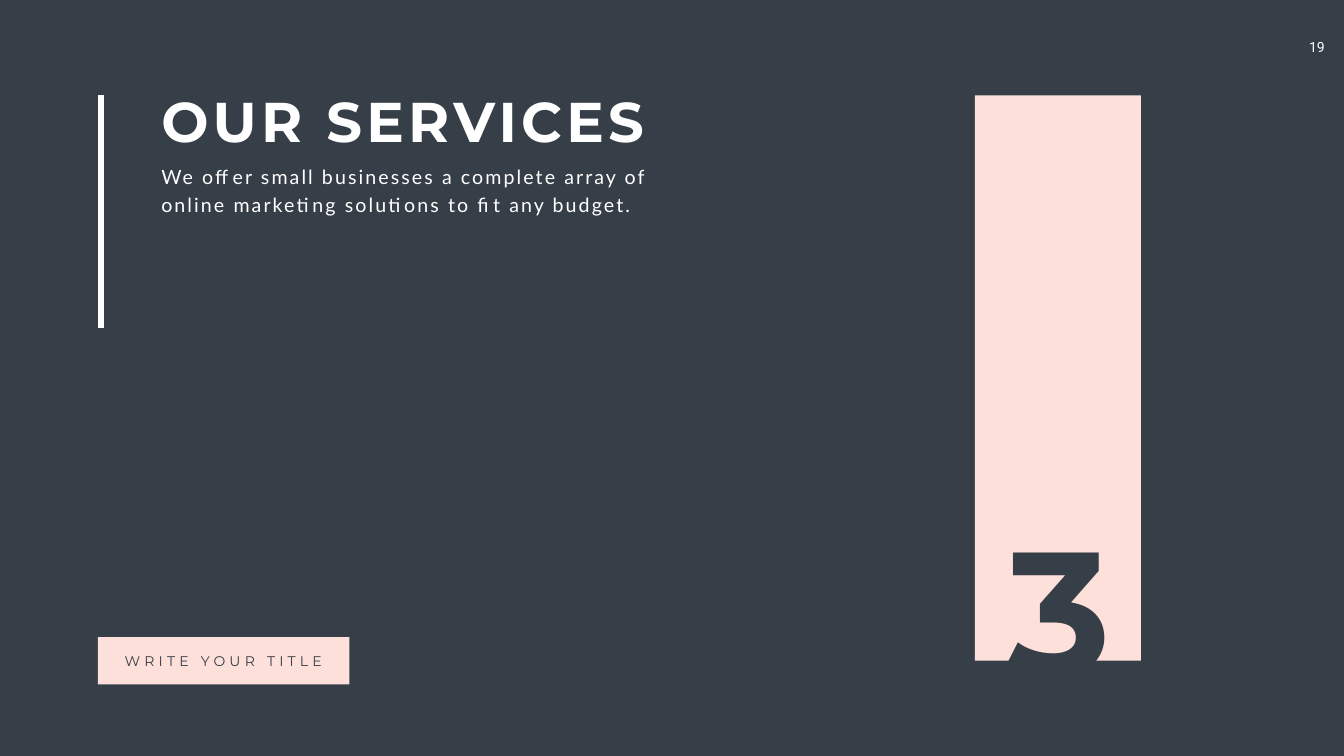
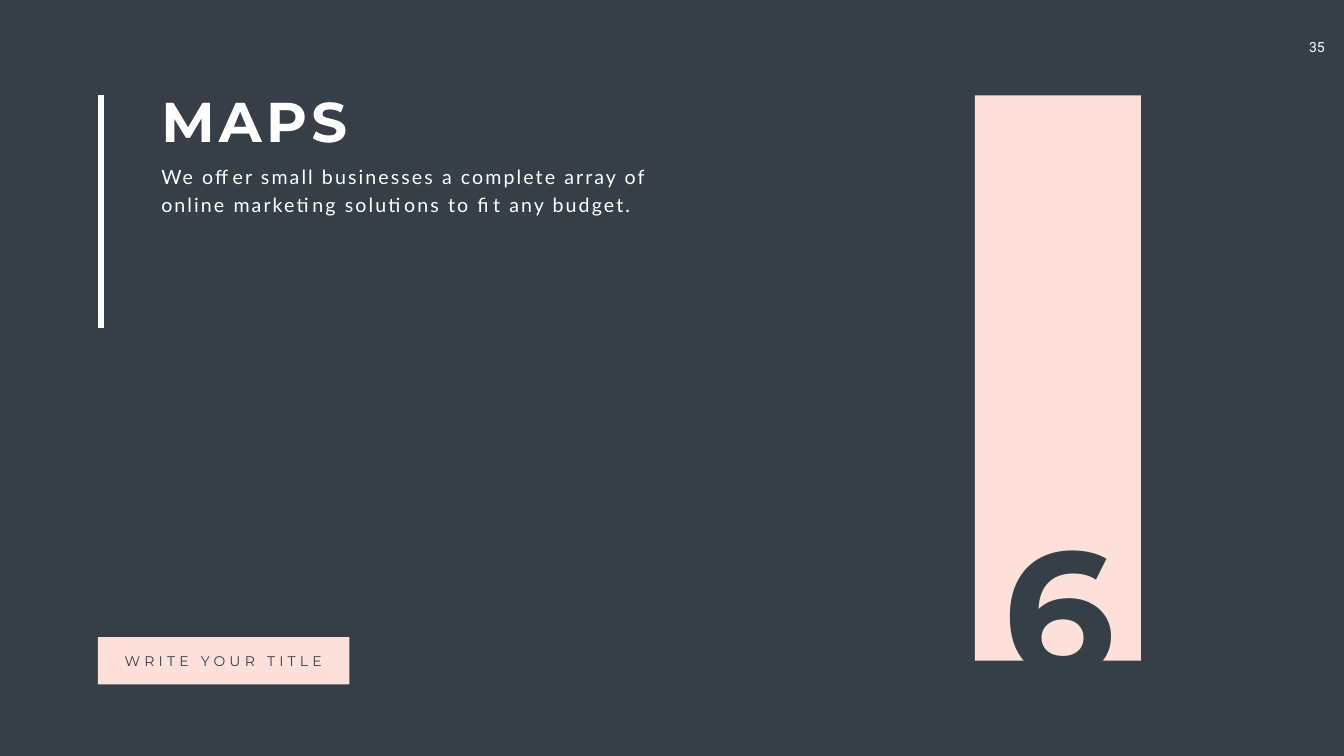
from lxml import etree
from pptx import Presentation
from pptx.dml.color import RGBColor
from pptx.enum import shapes, text
from pptx.oxml import ns
from pptx.util import Pt

DARK, BLUSH, WHITE = "363E48", "FEE0DA", "FFFFFF"
LEFT, CENTER = text.PP_ALIGN.LEFT, text.PP_ALIGN.CENTER
SUBTITLE = ("We offer small businesses a complete array of online marketing "
            "solutions to fit any budget.")
# page number, title, title width, section number
SECTIONS = [("19", "OUR SERVICES", 866.16, "3"),
            ("35", "MAPS", 960.48, "6")]


def color(value):
    return RGBColor.from_string(value)


class Section:
    """The style of a section slide and the slide being built."""

    def __init__(self, deck):
        self.deck = deck
        self.page = None
        fill = deck.slide_master.background.fill
        fill.solid()
        fill.fore_color.rgb = color(DARK)

    def start(self):
        self.page = self.deck.slides.add_slide(self.deck.slide_layouts[1])

    def add_words(self, box, words, size, font, ink, bold=False, spacing=0,
                  align=LEFT, wrap=True, leading=1.0):
        frame = box.text_frame
        frame.word_wrap = wrap
        frame.auto_size = text.MSO_AUTO_SIZE.SHAPE_TO_FIT_TEXT
        frame.vertical_anchor = text.MSO_ANCHOR.TOP
        para = frame.paragraphs[0]
        para.alignment = align
        para.line_spacing = leading
        para.space_before = Pt(0)
        span = para.add_run()
        span.text = words
        span.font.size, span.font.name = Pt(size), font
        span.font.bold = bold
        span.font.color.rgb = color(ink)
        span._r.get_or_add_rPr().set("spc", str(spacing * 100))
        return para

    def placeholder(self, index, place, words, size, font, **style):
        box = self.page.placeholders[index]
        box.left, box.top, box.width, box.height = map(Pt, place)
        para = self.add_words(box, words, size, font, WHITE, **style)
        props = para._p.get_or_add_pPr()
        props.set("marL", "0")
        props.set("indent", "0")
        etree.SubElement(props, ns.qn("a:buNone"))

    def label(self, place, *content, **style):
        box = self.page.shapes.add_textbox(*map(Pt, place))
        self.add_words(box, *content, align=CENTER, **style)
        return box

    def block(self, *place):
        shape = self.page.shapes.add_shape(
            shapes.MSO_SHAPE.RECTANGLE, *map(Pt, place))
        shape.shadow.inherit = False
        shape.fill.solid()
        shape.fill.fore_color.rgb = color(BLUSH)
        shape.line.fill.background()

    def rule(self, x, top, bottom, width):
        line = self.page.shapes.add_connector(
            shapes.MSO_CONNECTOR.STRAIGHT, Pt(x), Pt(top), Pt(x), Pt(bottom))
        line.line.color.rgb = color(WHITE)
        line.line.width = Pt(width)
        etree.SubElement(line._element.spPr, ns.qn("a:effectLst"))

    def page_number(self, number):
        box = self.label((1844.6, 48.24, 72.72, 38.88), number, 20, "Roboto", WHITE)
        frame = box.text_frame
        frame.margin_left = frame.margin_right = Pt(14.4)
        frame.margin_top = frame.margin_bottom = Pt(7.2)


def main():
    deck = Presentation()
    deck.slide_width, deck.slide_height = Pt(1919.52), Pt(1080)
    section = Section(deck)
    for number, title, width, digit in SECTIONS:
        section.start()
        section.page_number(number)

        # Heading with its vertical rule
        section.placeholder(0, (223.2, 120.24, width, 104.4), title, 80,
                            "Montserrat", bold=True, spacing=6)
        section.placeholder(1, (223.2, 224.64, 736.56, 85.68), SUBTITLE, 28,
                            "Lato", spacing=3, leading=Pt(40.8))

        # Column with the section number
        section.block(1392.48, 136.08, 236.88, 807.84)
        section.label((1414.8, 711.36, 197.28, 310.32), digit, 250,
                      "Montserrat", DARK, bold=True, spacing=6)
        section.rule(144, 136.08, 468.72, 8)

        # Tag at the bottom left
        section.block(139.68, 910.08, 359.28, 67.68)
        section.label((166.32, 928.8, 305.28, 31.68), "WRITE YOUR TITLE", 20,
                      "Montserrat", DARK, spacing=6, wrap=False)
    deck.save("out.pptx")


if __name__ == "__main__":
    main()
